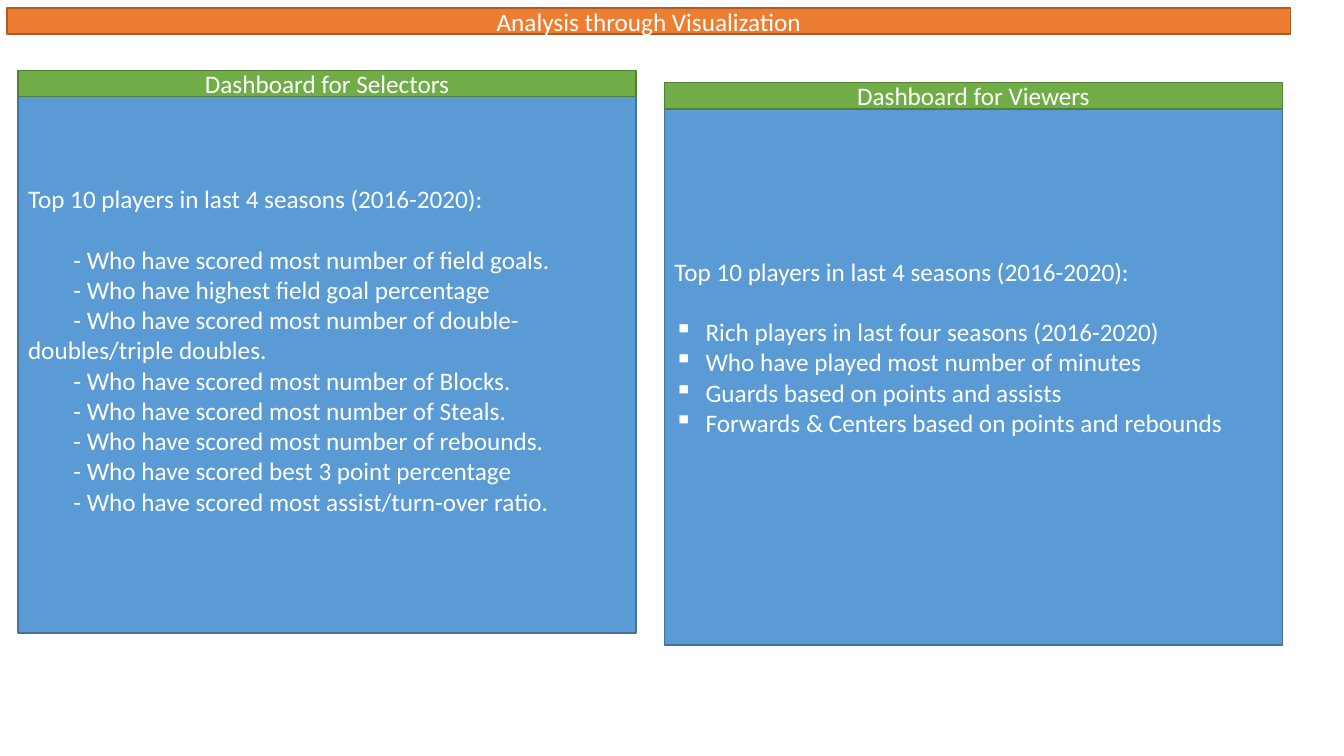
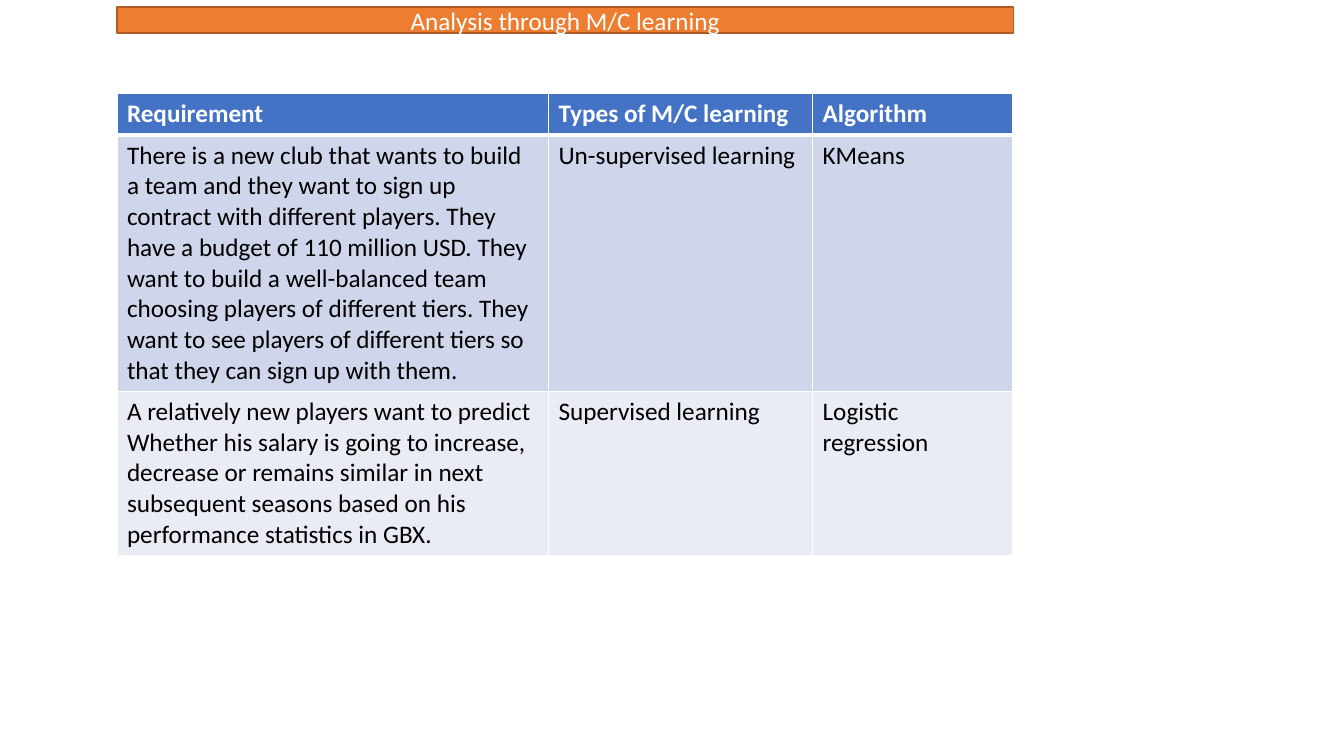
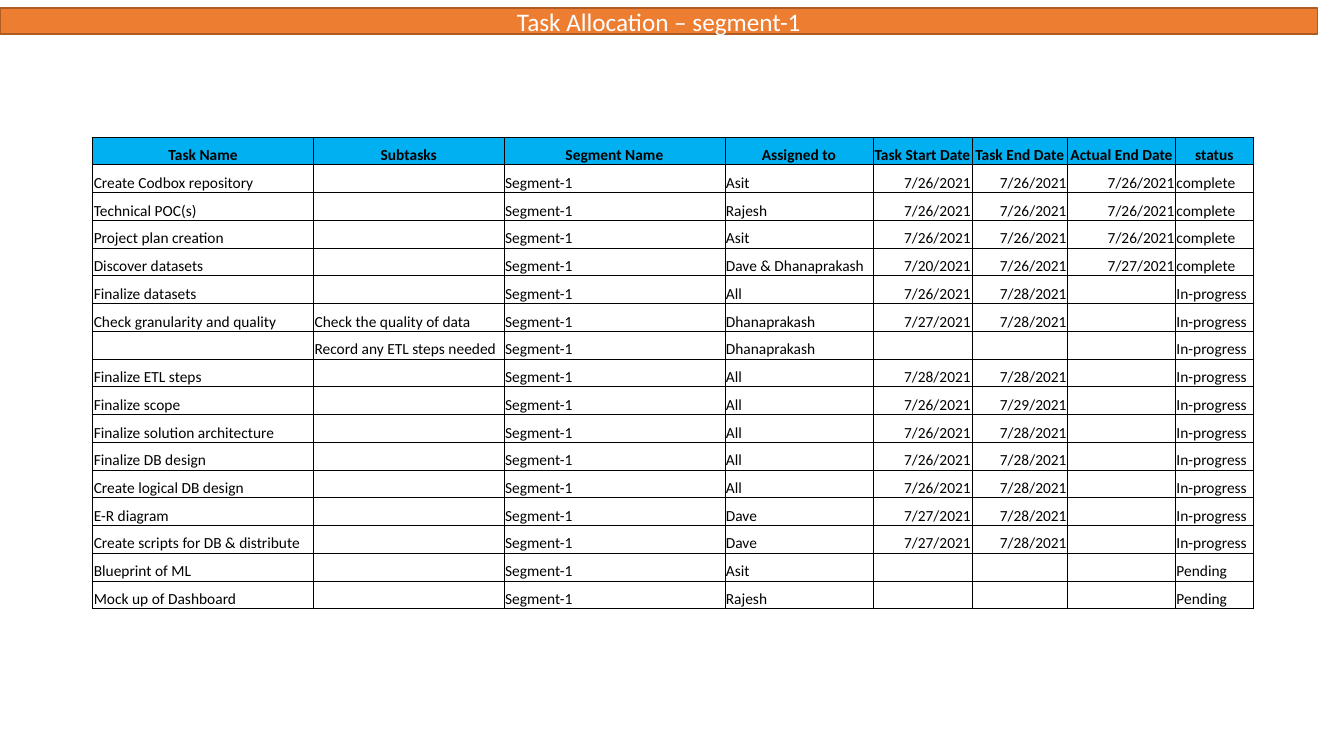
from lxml import etree
from pptx import Presentation
from pptx.dml.color import RGBColor
from pptx.enum.shapes import MSO_SHAPE
from pptx.enum.text import MSO_ANCHOR, PP_ALIGN
from pptx.oxml.ns import qn
from pptx.util import Inches, Pt

RECT = MSO_SHAPE.RECTANGLE
LEFT, CENTER, RIGHT = PP_ALIGN.LEFT, PP_ALIGN.CENTER, PP_ALIGN.RIGHT
TOP, MIDDLE, BOTTOM = MSO_ANCHOR.TOP, MSO_ANCHOR.MIDDLE, MSO_ANCHOR.BOTTOM

FONT = "Calibri"
BAND_H = 0.26
TEXT_LINE = 0.3  # height of one 18 pt line, inches
COLORS = {
    "white": "FFFFFF", "black": "000000",
    "orange": "ED7D31", "orange_line": "AF5C24",
    "green": "70AD47", "green_line": "538035",
    "blue": "5B9BD5", "blue_line": "43739E",
    "head": "4472C4", "odd": "CFD5EA", "even": "E9EBF5",
    "task_head": "00B0F0",
}


def rgb(name):
    return RGBColor.from_string(COLORS[name])


# --- shared parts ---
def add_text(paragraph, text, size=18, color="white", bold=False, align=LEFT):
    paragraph.alignment = align
    run = paragraph.add_run()
    run.text = text
    run.font.name, run.font.size, run.font.bold = FONT, Pt(size), bold
    run.font.color.rgb = rgb(color)


def add_box(slide, box, color):
    shape = slide.shapes.add_shape(RECT, *map(Inches, box))
    shape.shadow.inherit = False
    shape.fill.solid()
    shape.fill.fore_color.rgb = rgb(color)
    shape.line.color.rgb = rgb(color + "_line")
    shape.line.width = Pt(1)
    shape.text_frame.word_wrap = True
    shape.text_frame.vertical_anchor = MIDDLE
    return shape.text_frame


def add_band(slide, left, top, width, text, color="orange"):
    band = add_box(slide, (left, top, width, BAND_H), color)
    add_text(band.paragraphs[0], text, align=CENTER)


def set_borders(cell, color, width, bottom=None):
    tc_pr = cell._tc.get_or_add_tcPr()
    for side in "LRTB":
        points = bottom if bottom and side == "B" else width
        line = etree.SubElement(tc_pr, qn("a:ln" + side), w=str(Pt(points)))
        fill = etree.SubElement(line, qn("a:solidFill"))
        etree.SubElement(fill, qn("a:srgbClr"), val=COLORS[color])


def add_grid(slide, left, top, columns, heights):
    grid = slide.shapes.add_table(
        len(heights), len(columns), Inches(left), Inches(top),
        Inches(sum(columns)), Inches(sum(heights))).table
    grid.first_row = grid.horz_banding = False
    for column, width in zip(grid.columns, columns):
        column.width = Inches(width)
    for row, height in zip(grid.rows, heights):
        row.height = Inches(height)
    return grid


def fill_cell(cell, color):
    if color:
        cell.fill.solid()
        cell.fill.fore_color.rgb = rgb(color)
    else:
        cell.fill.background()


# --- slide 1: dashboards ---
def add_dashboard(slide, box, title, items, bullet, left_indent, first_indent, spare_lines):
    left, top, width, height = box
    panel = add_box(slide, (left, top + BAND_H, width, height - BAND_H), "blue")
    panel.margin_bottom = Inches(0.05 + spare_lines * TEXT_LINE)
    intro = panel.paragraphs[0]
    add_text(intro, "Top 10 players in last 4 seasons (2016-2020):")
    intro.space_after = Inches(TEXT_LINE)
    for item in items:
        paragraph = panel.add_paragraph()
        add_text(paragraph, item)
        p_pr = paragraph._p.get_or_add_pPr()
        p_pr.set("marL", str(Inches(left_indent)))
        p_pr.set("indent", str(Inches(first_indent)))
        if bullet:
            etree.SubElement(p_pr, qn("a:buChar"), char=bullet)
    add_band(slide, left, top, width, title, "green")


def build_visualization(slide):
    add_band(slide, 0.07, 0.08, 12.73, "Analysis through Visualization")
    selectors = [
        "- Who have scored most number of field goals.",
        "- Who have highest field goal percentage",
        "- Who have scored most number of double-\tdoubles/triple doubles.",
        "- Who have scored most number of Blocks.",
        "- Who have scored most number of Steals.",
        "- Who have scored most number of rebounds.",
        "- Who have scored best 3 point percentage",
        "- Who have scored most assist/turn-over ratio.",
    ]
    viewers = [
        "Rich players in last four seasons (2016-2020)",
        "Who have played most number of minutes",
        "Guards based on points and assists",
        "Forwards & Centers based on points and rebounds",
    ]
    add_dashboard(slide, (0.18, 0.7, 6.13, 5.58), "Dashboard for Selectors",
                  selectors, None, 0, 0.45, 1)
    add_dashboard(slide, (6.59, 0.82, 6.13, 5.58), "Dashboard for Viewers",
                  viewers, "▪", 0.31, -0.31, 2)


# --- slide 2: learning types ---
def build_learning(slide):
    add_band(slide, 1.16, 0.07, 8.89, "Analysis through M/C learning")
    rows = [
        ("Requirement", "Types of M/C learning", "Algorithm"),
        ("There is a new club that wants to build a team and they want to sign up "
         "contract with different players. They have a budget of 110 million USD. "
         "They want to build a well-balanced team choosing players of different "
         "tiers. They want to see players of different tiers so that they can sign "
         "up with them.", "Un-supervised learning", "KMeans"),
        ("A relatively new players want to predict\n"
         "Whether his salary is going to increase, decrease or remains similar in "
         "next subsequent seasons based on his performance statistics in GBX.",
         "Supervised learning", "Logistic regression"),
    ]
    grid = add_grid(slide, 1.16, 0.93, (4.28, 2.62, 1.98), (0.41, 2.5, 1.6))
    for r, (row, fill) in enumerate(zip(rows, ("head", "odd", "even"))):
        heading = r == 0
        for c, text in enumerate(row):
            cell = grid.cell(r, c)
            set_borders(cell, "white", 1, 3 if heading else None)
            fill_cell(cell, fill)
            cell.vertical_anchor = TOP
            for n, line in enumerate(text.split("\n")):
                frame = cell.text_frame
                paragraph = frame.add_paragraph() if n else frame.paragraphs[0]
                add_text(paragraph, line, 18, "white" if heading else "black", heading)


# --- slide 3: task plan ---
TASK_HEADS = ("Task Name", "Subtasks", "Segment Name", "Assigned to",
              "Task Start Date", "Task End Date", "Actual End Date", "status")
DATE_COLUMNS = (4, 5, 6)
# task, subtask, assignee, start, end and actual end (month/day), status
TASKS = [
    ("Create Codbox repository", "", "Asit", "7/26", "7/26", "7/26", "complete"),
    ("Technical POC(s)", "", "Rajesh", "7/26", "7/26", "7/26", "complete"),
    ("Project plan creation", "", "Asit", "7/26", "7/26", "7/26", "complete"),
    ("Discover datasets", "", "Dave & Dhanaprakash", "7/20", "7/26", "7/27", "complete"),
    ("Finalize datasets", "", "All", "7/26", "7/28", "", "In-progress"),
    ("Check granularity and quality", "Check the quality of data", "Dhanaprakash",
     "7/27", "7/28", "", "In-progress"),
    ("", "Record any ETL steps needed", "Dhanaprakash", "", "", "", "In-progress"),
    ("Finalize ETL steps", "", "All", "7/28", "7/28", "", "In-progress"),
    ("Finalize scope", "", "All", "7/26", "7/29", "", "In-progress"),
    ("Finalize solution architecture", "", "All", "7/26", "7/28", "", "In-progress"),
    ("Finalize DB design", "", "All", "7/26", "7/28", "", "In-progress"),
    ("Create logical DB design", "", "All", "7/26", "7/28", "", "In-progress"),
    ("E-R diagram", "", "Dave", "7/27", "7/28", "", "In-progress"),
    ("Create scripts for DB & distribute", "", "Dave", "7/27", "7/28", "", "In-progress"),
    ("Blueprint of ML", "", "Asit", "", "", "", "Pending"),
    ("Mock up of Dashboard", "", "Rajesh", "", "", "", "Pending"),
]


def task_row(task, subtask, assignee, *dates_and_status):
    *dates, status = dates_and_status
    full_dates = [date and date + "/2021" for date in dates]
    return (task, subtask, "Segment-1", assignee, *full_dates, status)


def build_tasks(slide):
    add_band(slide, 0, 0.08, 13.07, "Task Allocation – segment-1")
    rows = [TASK_HEADS] + [task_row(*task) for task in TASKS]
    columns = (2.19, 1.89, 2.19, 1.47, 0.98, 0.95, 1.07, 0.77)
    grid = add_grid(slide, 0.92, 1.36, columns, [4.68 / len(rows)] * len(rows))
    for r, row in enumerate(rows):
        heading = r == 0
        for c, text in enumerate(row):
            cell = grid.cell(r, c)
            set_borders(cell, "black", 0.5)
            fill_cell(cell, "task_head" if heading else None)
            cell.vertical_anchor = BOTTOM
            cell.margin_left = cell.margin_right = cell.margin_top = Inches(0.01)
            cell.margin_bottom = 0
            paragraph = cell.text_frame.paragraphs[0]
            if text:
                align = CENTER if heading else RIGHT if c in DATE_COLUMNS else LEFT
                add_text(paragraph, text, 11, "black", heading, align)
            else:  # keeps an empty cell from stretching its row
                etree.SubElement(paragraph._p, qn("a:endParaRPr"), sz="1100")


deck = Presentation()
deck.slide_width, deck.slide_height = Inches(13.33), Inches(7.5)
for build in (build_visualization, build_learning, build_tasks):
    build(deck.slides.add_slide(deck.slide_layouts[6]))
deck.save("out.pptx")
